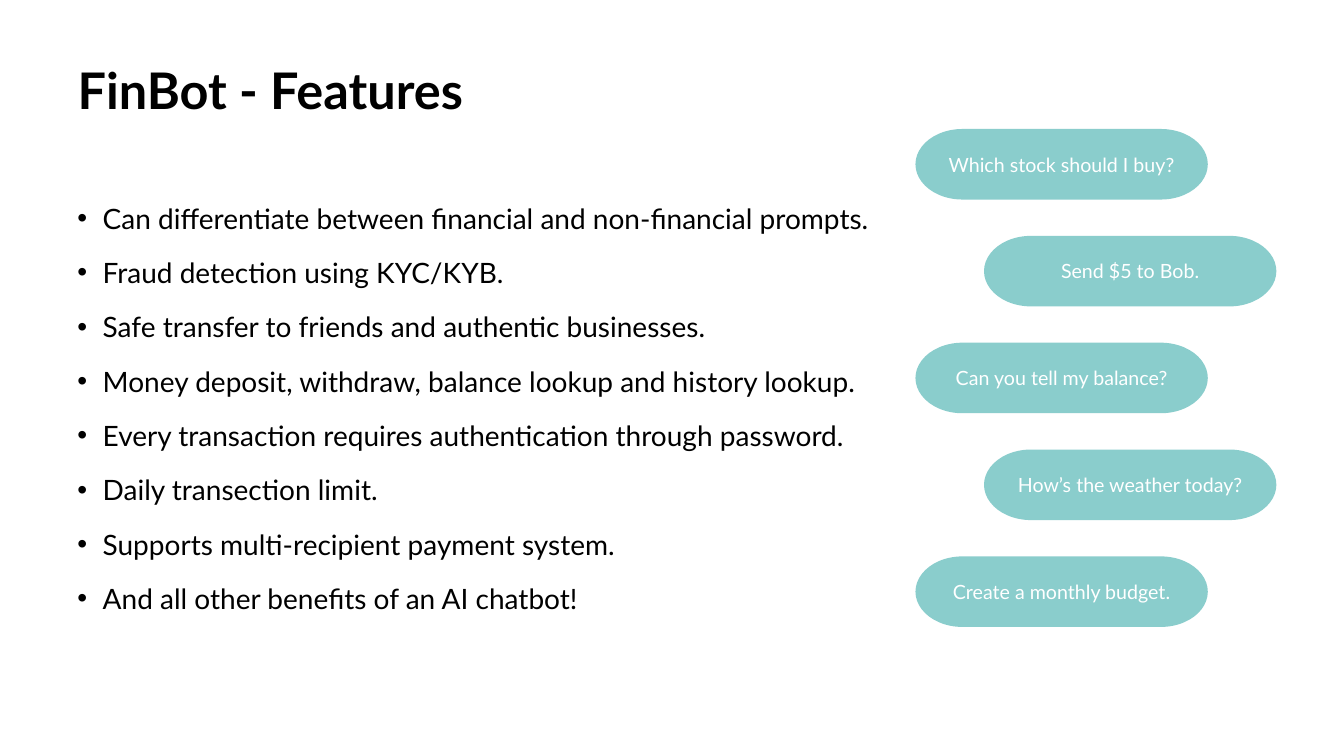
from lxml import etree
from pptx import Presentation
from pptx.dml.color import RGBColor
from pptx.enum.shapes import MSO_SHAPE
from pptx.enum.text import MSO_ANCHOR, MSO_AUTO_SIZE, PP_ALIGN
from pptx.oxml.ns import qn
from pptx.util import Inches, Pt

TITLE = "FinBot - Features"
FEATURES = [
    "Can differentiate between financial and non-financial prompts.",
    "Fraud detection using KYC/KYB.",
    "Safe transfer to friends and authentic businesses.",
    "Money deposit, withdraw, balance lookup and history lookup.",
    "Every transaction requires authentication through password.",
    "Daily transection limit.",
    "Supports multi-recipient payment system.",
    "And all other benefits of an AI chatbot!",
]
PROMPTS = [
    "Which stock should I buy?",
    "Send $5 to Bob.",
    "Can you tell my balance?",
    "How’s the weather today?",
    "Create a monthly budget.",
]

FONT = "Lato"
BLACK = RGBColor(0x00, 0x00, 0x00)
WHITE = RGBColor(0xFF, 0xFF, 0xFF)
TEAL = RGBColor(0x16, 0x9C, 0x9A)
PILL = MSO_SHAPE.FLOWCHART_TERMINATOR
TOP, MIDDLE = MSO_ANCHOR.TOP, MSO_ANCHOR.MIDDLE
LEFT, CENTER = PP_ALIGN.LEFT, PP_ALIGN.CENTER

MARGIN, TEXT_W = 0.67, 11.65
PILL_LEFTS = (9.08, 9.76)
PILL_TOP, PILL_PITCH = 1.28, 1.06
PILL_W, PILL_H = 2.9, 0.7


def style(p, size, color, align, bold=False):
    p.alignment = align
    for r in p.runs:
        r.font.name = FONT
        r.font.size = Pt(size)
        r.font.bold = bold
        r.font.color.rgb = color


def add_bullet(p):
    pPr = p._p.get_or_add_pPr()
    pPr.set("marL", str(Inches(0.25)))
    pPr.set("indent", str(Inches(-0.25)))
    etree.SubElement(pPr, qn("a:buFont")).set("typeface", "Arial")
    etree.SubElement(pPr, qn("a:buChar")).set("char", "•")


def add_title(s):
    title = s.shapes.title
    title.left, title.top = Inches(MARGIN), Inches(0.6)
    title.width, title.height = Inches(TEXT_W), Inches(1.24)
    tf = title.text_frame
    tf.text = TITLE
    tf.auto_size = MSO_AUTO_SIZE.NONE
    tf.vertical_anchor = TOP
    p = tf.paragraphs[0]
    p.line_spacing = 0.9
    style(p, 36, BLACK, LEFT, bold=True)


def add_features(s):
    box = s.shapes.add_textbox(Inches(MARGIN), Inches(1.88), Inches(TEXT_W), Inches(5.02))
    tf = box.text_frame
    tf.word_wrap = True
    tf.text = "\n".join(FEATURES)
    for p in tf.paragraphs:
        p.line_spacing = 1.2
        p.space_before = Pt(10)
        style(p, 20, BLACK, LEFT)
        add_bullet(p)


def add_prompt(s, i, text):
    left = PILL_LEFTS[i % 2]
    top = PILL_TOP + i * PILL_PITCH
    sp = s.shapes.add_shape(PILL, Inches(left), Inches(top), Inches(PILL_W), Inches(PILL_H))
    sp.shadow.inherit = False
    sp.line.fill.background()
    sp.fill.solid()
    sp.fill.fore_color.rgb = TEAL
    color = sp._element.spPr.find(qn("a:solidFill")).find(qn("a:srgbClr"))
    etree.SubElement(color, qn("a:alpha")).set("val", "50000")
    tf = sp.text_frame
    tf.margin_left = tf.margin_right = 0
    tf.vertical_anchor = MIDDLE
    tf.text = text
    style(tf.paragraphs[0], 14, WHITE, CENTER)


def main():
    prs = Presentation()
    prs.slide_width, prs.slide_height = Inches(13.33), Inches(7.5)
    s = prs.slides.add_slide(prs.slide_layouts[5])
    add_title(s)
    add_features(s)
    for i, text in enumerate(PROMPTS):
        add_prompt(s, i, text)
    prs.save("out.pptx")


if __name__ == "__main__":
    main()
